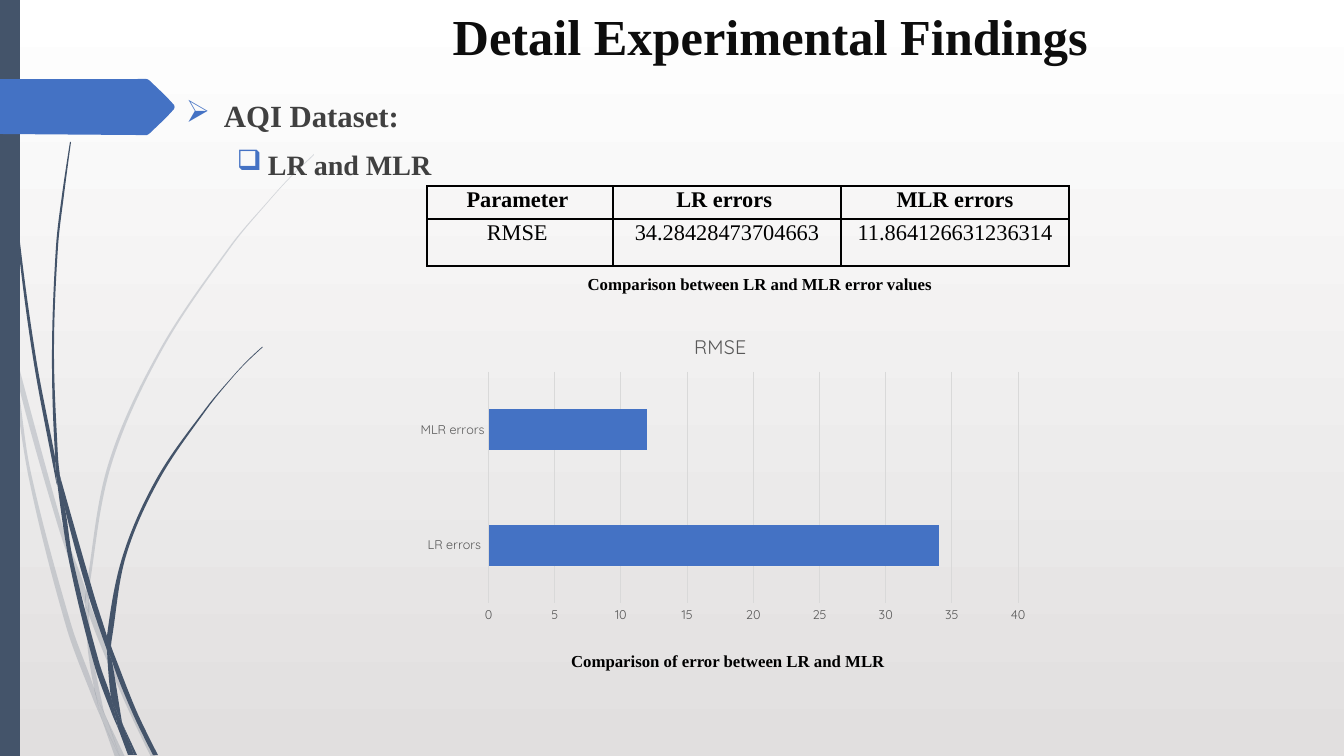
import dataclasses
import math

import lxml.etree
import pptx
import pptx.chart.data
import pptx.dml.color
import pptx.enum.chart
import pptx.enum.shapes
import pptx.enum.text
import pptx.oxml.ns
import pptx.util

TITLE = ("Detail Experimental Findings", (273, 0, 995, 71))
# text, bullet, type size name, left margin, hanging indent, space before in points
OUTLINE_BOX = (176, 89, 1148, 653)
OUTLINE = [
    ("AQI Dataset: ", "➢", "heading", 38, 38, 4),
    ("LR and MLR", "❑", "subheading", 82, 31, 8),
]
ERRORS_AT = (427, 186)
ERRORS_COLUMNS = [186, 228, 228]
ERRORS_ROWS = [33, 47]
ERRORS = [
    ["Parameter ", "LR errors ", "MLR errors"],
    ["RMSE ", "34.28428473704663", "11.864126631236314"],
]
CAPTIONS = [
    ("Comparison between LR and MLR error values", (535, 269, 450, 30)),
    ("Comparison of error between LR and MLR", (535, 646, 386, 30)),
]
CHART_BOX = (408, 317, 630, 312)
CHART_TITLE = "RMSE "
CHART_VALUES = {"LR errors ": 34, "MLR errors": 12}
SIDE_BAR = (0, 0, 20, 756)
PAGE_ARROW = [(174, 109), (149, 134), (147, 135), (137, 135), (0, 134),
              (0, 79), (137, 79), (147, 79), (149, 80), (174, 105)]

# Outlines of the blades of grass
PALE_BLADES = [
    [(11, 353), (9, 325), (0, 284), (0, 301), (10, 347)],
    [(58, 526), (85, 604), (86, 591), (62, 524), (14, 348), (17, 379)],
    [(93, 612), (89, 601), (89, 615), (124, 700), (151, 757), (156, 757), (128, 698)],
    [(120, 757), (125, 757), (106, 717)],
    [(94, 688), (71, 624), (31, 473), (17, 379), (11, 353), (28, 474), (66, 626),
     (93, 699), (102, 720), (100, 713)],
    [(85, 604), (88, 651), (94, 688), (97, 698), (106, 717), (104, 712), (92, 651),
     (89, 615), (89, 613)],
    [(89, 589), (111, 466), (161, 352), (231, 247), (270, 200), (292, 176), (314, 155),
     (314, 154), (291, 176), (270, 199), (230, 246), (159, 351), (108, 465), (86, 589),
     (86, 591), (89, 601)],
    [(102, 720), (115, 757), (120, 757)],
    [(89, 613), (89, 615), (89, 601), (86, 591), (85, 604)],
    [(97, 698), (94, 688), (100, 713), (102, 720), (120, 757), (106, 717)],
]
DARK_BLADES = [
    [(7, 111), (17, 235), (33, 358), (56, 481), (57, 485), (55, 461), (55, 457),
     (36, 358), (19, 234), (8, 110), (5, 48), (4, 0), (3, 0), (4, 48)],
    [(89, 597), (107, 650), (107, 638), (107, 636), (94, 595), (60, 476), (65, 509)],
    [(114, 654), (111, 646), (112, 661), (133, 714), (153, 755), (158, 755), (137, 712)],
    [(111, 697), (99, 662), (73, 560), (65, 509), (57, 481), (69, 561), (94, 664),
     (112, 714), (118, 728), (117, 723)],
    [(60, 476), (58, 457), (54, 352), (58, 247), (64, 195), (71, 142), (70, 142),
     (62, 195), (56, 247), (52, 352), (55, 453)],
    [(134, 755), (137, 755), (123, 725)],
    [(57, 481), (65, 509), (60, 476), (55, 453), (55, 457)],
    [(112, 638), (126, 556), (159, 480), (207, 409), (233, 377), (247, 362), (263, 347),
     (262, 347), (247, 361), (233, 376), (206, 408), (157, 478), (123, 555), (107, 636),
     (111, 646)],
    [(118, 728), (128, 755), (132, 755)],
    [(107, 650), (111, 697), (117, 712), (123, 725), (122, 722), (112, 661), (110, 656)],
    [(107, 650), (110, 656), (112, 661), (111, 646), (107, 636), (107, 638)],
    [(117, 712), (111, 697), (117, 723), (118, 728), (131, 755), (134, 755), (123, 725)],
]


@dataclasses.dataclass(frozen=True)
class Theme:
    serif: str = "Times New Roman"
    sans: str = "Quicksand"
    top: str = "FFFFFF"
    bottom: str = "E1DFDF"
    slate: str = "44546A"
    blue: str = "4472C4"
    title_ink: str = "0D0D0D"
    outline_ink: str = "404040"
    black: str = "000000"
    chart_ink: str = "595959"
    grid: str = "D9D9D9"
    pale_alpha: int = 20
    title: int = 36
    heading: int = 22
    subheading: int = 20
    cell: int = 16
    caption: int = 12
    chart_title: int = 14
    axis: int = 9


THEME = Theme()
PX = 914400 / 100.8
SHARP_TURN = math.radians(60)
CENTER = pptx.enum.text.PP_ALIGN.CENTER
rgb = pptx.dml.color.RGBColor.from_string
qn = pptx.oxml.ns.qn


def px(length):
    return pptx.util.Emu(round(length * PX))


def scaled(box):
    return [px(length) for length in box]


def apply(target, **formats):
    for name, value in formats.items():
        setattr(target, name, value)


def add_xml(parent, tag, **attributes):
    return lxml.etree.SubElement(parent, qn(tag), attributes)


def style_font(font, size, color, bold=False, name=THEME.serif):
    apply(font, name=name, size=pptx.util.Pt(size), bold=bold)
    font.color.rgb = rgb(color)


def write(para, text, size, color, bold=True, alignment=CENTER):
    para.alignment = alignment
    span = para.add_run()
    span.text = text
    style_font(span.font, size, color, bold)


def paint(shape, color):
    shape.shadow.inherit = False
    shape.fill.solid()
    shape.fill.fore_color.rgb = rgb(color)
    shape.line.fill.background()


def tangent(before, point, after):
    """Unit direction of the curve at a point, or zero where the outline has a corner."""
    arriving = math.atan2(point[1] - before[1], point[0] - before[0])
    leaving = math.atan2(after[1] - point[1], after[0] - point[0])
    if abs(math.remainder(leaving - arriving, math.tau)) > SHARP_TURN:
        return 0, 0
    span = math.dist(before, after)
    return (after[0] - before[0]) / span, (after[1] - before[1]) / span


def add_curved_outline(shapes, points, color, alpha=None):
    corners = [tuple(scaled(point)) for point in points]
    builder = shapes.build_freeform(*corners[0])
    builder.add_line_segments(corners[1:] + corners[:1], close=True)
    shape = builder.convert_to_shape()
    paint(shape, color)
    if alpha:
        add_xml(next(shape._element.iter(qn("a:srgbClr"))), "a:alpha", val=str(alpha * 1000))
    left, top = (min(values) for values in zip(*corners))
    count = len(corners)
    directions = [tangent(corners[i - 1], corners[i], corners[(i + 1) % count])
                  for i in range(count)]
    for i, segment in enumerate(list(shape._element.iter(qn("a:lnTo")))[:count]):
        start, end = corners[i], corners[(i + 1) % count]
        reach = math.dist(start, end) / 3
        out, into = directions[i], directions[(i + 1) % count]
        curve = lxml.etree.Element(qn("a:cubicBezTo"))
        for (x, y), (dx, dy), sign in ((start, out, 1), (end, into, -1), (end, (0, 0), 1)):
            add_xml(curve, "a:pt", x=str(round(x + sign * dx * reach - left)),
                    y=str(round(y + sign * dy * reach - top)))
        segment.getparent().replace(segment, curve)


def add_text_box(page, box):
    frame = page.shapes.add_textbox(*scaled(box)).text_frame
    frame.word_wrap = True
    return frame


def add_backdrop(page):
    fill = page.background.fill
    fill.gradient()
    fill.gradient_angle = 270
    for stop, color in zip(fill.gradient_stops, (THEME.top, THEME.bottom)):
        stop.color.rgb = rgb(color)
    for blades, alpha in ((PALE_BLADES, THEME.pale_alpha), (DARK_BLADES, None)):
        tuft = page.shapes.add_group_shape()
        for points in blades:
            add_curved_outline(tuft.shapes, points, THEME.slate, alpha)
    rectangle = pptx.enum.shapes.MSO_SHAPE.RECTANGLE
    paint(page.shapes.add_shape(rectangle, *scaled(SIDE_BAR)), THEME.slate)
    add_curved_outline(page.shapes, PAGE_ARROW, THEME.blue)


def add_outline(page):
    frame = add_text_box(page, OUTLINE_BOX)
    for index, (text, bullet, size, margin, hanging, before) in enumerate(OUTLINE):
        para = frame.add_paragraph() if index else frame.paragraphs[0]
        write(para, text, getattr(THEME, size), THEME.outline_ink,
              alignment=pptx.enum.text.PP_ALIGN.JUSTIFY)
        apply(para, level=index, line_spacing=1.07, space_before=pptx.util.Pt(before))
        properties = para._p.get_or_add_pPr()
        properties.set("marL", str(px(margin)))
        properties.set("indent", str(px(-hanging)))
        add_xml(add_xml(properties, "a:buClr"), "a:srgbClr", val=THEME.blue)
        add_xml(properties, "a:buChar", char=bullet)


def add_errors_table(page):
    size = (sum(ERRORS_COLUMNS), sum(ERRORS_ROWS))
    table = page.shapes.add_table(len(ERRORS), len(ERRORS[0]), *scaled(ERRORS_AT + size)).table
    apply(table, first_row=False, horz_banding=False)
    for column, width in zip(table.columns, ERRORS_COLUMNS):
        column.width = px(width)
    for row_index, (row, height) in enumerate(zip(table.rows, ERRORS_ROWS)):
        row.height = px(height)
        for cell, text in zip(row.cells, ERRORS[row_index]):
            apply(cell, margin_left=px(7), margin_right=px(7), margin_top=0, margin_bottom=0)
            for side in "LRTB":
                border = add_xml(cell._tc.get_or_add_tcPr(), f"a:ln{side}", w="12700")
                add_xml(add_xml(border, "a:solidFill"), "a:srgbClr", val=THEME.black)
            cell.fill.background()
            para = cell.text_frame.paragraphs[0]
            para.line_spacing = 1.07
            write(para, text, THEME.cell, THEME.black, bold=row_index == 0)


def add_errors_chart(page):
    enums = pptx.enum.chart
    data = pptx.chart.data.CategoryChartData()
    data.categories = list(CHART_VALUES)
    data.add_series(CHART_TITLE, list(CHART_VALUES.values()))
    chart = page.shapes.add_chart(enums.XL_CHART_TYPE.BAR_CLUSTERED,
                                  *scaled(CHART_BOX), data).chart
    apply(chart, has_legend=False, has_title=True)
    style_font(chart.font, THEME.axis, THEME.chart_ink, name=THEME.sans)
    title = chart.chart_title.text_frame
    title.text = CHART_TITLE
    style_font(title.paragraphs[0].runs[0].font, THEME.chart_title, THEME.chart_ink,
               name=THEME.sans)
    plot = chart.plots[0]
    apply(plot, gap_width=182, vary_by_categories=False)
    bars = plot.series[0].format.fill
    bars.solid()
    bars.fore_color.rgb = rgb(THEME.blue)
    names, values = chart.category_axis, chart.value_axis
    for axis in (names, values):
        apply(axis, major_tick_mark=enums.XL_TICK_MARK.NONE,
              minor_tick_mark=enums.XL_TICK_MARK.NONE)
    apply(values, minimum_scale=0, maximum_scale=40, major_unit=5, has_major_gridlines=True)
    values.format.line.fill.background()
    for line in (names.format.line, values.major_gridlines.format.line):
        line.color.rgb = rgb(THEME.grid)
        line.width = pptx.util.Pt(0.75)


def main():
    deck = pptx.Presentation()
    apply(deck, slide_width=px(1344), slide_height=px(756))
    page = deck.slides.add_slide(deck.slide_layouts[6])
    add_backdrop(page)
    text, box = TITLE
    frame = add_text_box(page, box)
    frame.vertical_anchor = pptx.enum.text.MSO_ANCHOR.MIDDLE
    write(frame.paragraphs[0], text, THEME.title, THEME.title_ink)
    add_outline(page)
    add_errors_table(page)
    add_errors_chart(page)
    for text, box in CAPTIONS:
        frame = add_text_box(page, box)
        frame.auto_size = pptx.enum.text.MSO_AUTO_SIZE.SHAPE_TO_FIT_TEXT
        write(frame.paragraphs[0], text, THEME.caption, THEME.black)
    deck.save("out.pptx")


if __name__ == "__main__":
    main()
